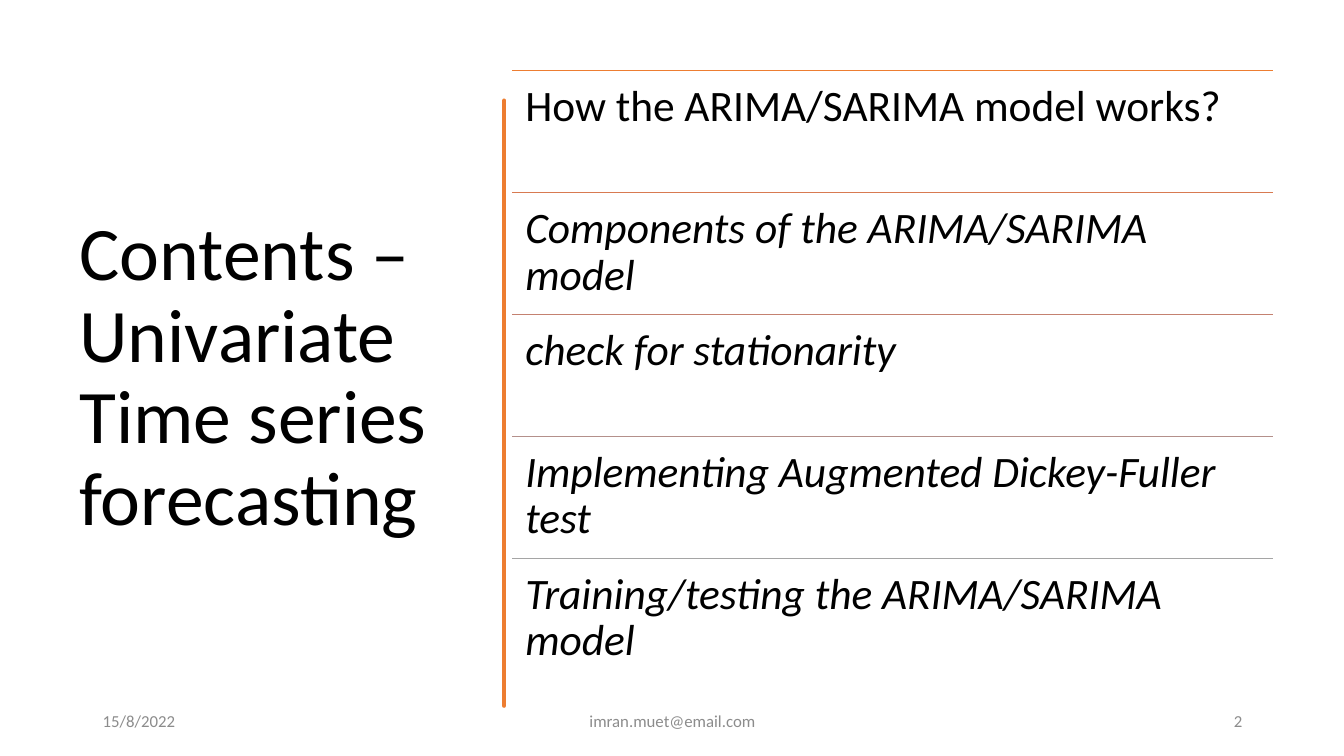
from dataclasses import dataclass

from lxml import etree
from pptx import Presentation
from pptx import util as u
from pptx.dml.color import RGBColor
from pptx.enum import shapes, text
from pptx.oxml import ns

FONT = "Calibri"
BLACK = RGBColor(0x00, 0x00, 0x00)
GREY = RGBColor(0x8C, 0x8C, 0x8C)
ORANGE = RGBColor(0xED, 0x7D, 0x31)
COPPER = RGBColor(0xD8, 0x7A, 0x51)
CLAY = RGBColor(0xC4, 0x81, 0x70)
MAUVE = RGBColor(0xB4, 0x90, 0x8B)
SILVER = RGBColor(0xA5, 0xA5, 0xA5)

LEFT = text.PP_ALIGN.LEFT
CENTER = text.PP_ALIGN.CENTER
RIGHT = text.PP_ALIGN.RIGHT
TOP = text.MSO_ANCHOR.TOP
MIDDLE = text.MSO_ANCHOR.MIDDLE


@dataclass
class Label:
    words: str
    left: float
    top: float
    width: float
    height: float
    size: float
    color: RGBColor = BLACK
    align: text.PP_ALIGN = LEFT
    anchor: text.MSO_ANCHOR = MIDDLE
    spacing: float = 1.0
    italic: bool = False
    inset: float | None = None


@dataclass
class Topic:
    words: str
    color: RGBColor
    italic: bool = True


TITLE = Label("Contents – Univariate Time series forecasting",
              0.69, 0.7, 3.74, 6.11, 54, spacing=0.9)

FOOTER = [
    Label("15/8/2022", 0.92, 6.95, 3, 0.4, 12, GREY),
    Label("imran.muet@email.com", 4.42, 6.95, 4.5, 0.4, 12, GREY, CENTER),
    Label("2", 9.42, 6.95, 3, 0.4, 12, GREY, RIGHT),
]

TOPICS = [
    Topic("How the ARIMA/SARIMA model works?", ORANGE, italic=False),
    Topic("Components of the ARIMA/SARIMA model", COPPER),
    Topic("check for stationarity", CLAY),
    Topic("Implementing Augmented Dickey-Fuller test", MAUVE),
    Topic("Training/testing the ARIMA/SARIMA model", SILVER),
]
LIST_LEFT, LIST_TOP, LIST_WIDTH, ROW = 5.08, 0.7, 7.55, 1.21

# Brush stroke outline: down the right edge, then up the left edge
STROKE = [
    (4.75, 0.84), (4.76, 1.2), (4.74, 1.7), (4.75, 2.26), (4.75, 2.94),
    (4.76, 3.4), (4.76, 4.1), (4.74, 4.6), (4.76, 5.3), (4.75, 5.84),
    (4.75, 6.76), (4.73, 6.76), (4.72, 6.4), (4.73, 5.9), (4.72, 5.4),
    (4.73, 4.77), (4.72, 4.4), (4.73, 3.86), (4.72, 3.4), (4.73, 2.9),
    (4.73, 2.38), (4.72, 1.75), (4.74, 1.3), (4.73, 0.84),
]


def write(parent, label: Label) -> None:
    box = parent.add_textbox(u.Inches(label.left), u.Inches(label.top),
                             u.Inches(label.width), u.Inches(label.height))
    frame = box.text_frame
    frame.word_wrap = True
    frame.vertical_anchor = label.anchor
    if label.inset is not None:
        gap = u.Inches(label.inset)
        frame.margin_left = frame.margin_right = gap
        frame.margin_top = frame.margin_bottom = gap
    para = frame.paragraphs[0]
    para.text = label.words
    para.alignment = label.align
    para.line_spacing = label.spacing
    para.font.name = FONT
    para.font.size = u.Pt(label.size)
    para.font.color.rgb = label.color
    para.font.italic = label.italic


def rule(parent, left: float, top: float, width: float,
         color: RGBColor) -> None:
    line = parent.add_connector(
        shapes.MSO_CONNECTOR.STRAIGHT, u.Inches(left), u.Inches(top),
        u.Inches(left + width), u.Inches(top))
    line.line.color.rgb = color
    line.line.width = u.Pt(1)
    etree.SubElement(line._element.spPr, ns.qn("a:effectLst"))


def brush(parent, points: list[tuple[float, float]]) -> None:
    start, *rest = points
    pen = parent.build_freeform(*start, scale=u.Inches(1))
    pen.add_line_segments(rest, close=True)
    stroke = pen.convert_to_shape()
    stroke.shadow.inherit = False
    stroke.fill.solid()
    stroke.fill.fore_color.rgb = ORANGE
    stroke.line.color.rgb = ORANGE
    stroke.line.width = u.Pt(3.25)
    etree.SubElement(stroke.line._ln, ns.qn("a:round"))


def main() -> None:
    deck = Presentation()
    deck.slide_width = u.Inches(13.33)
    deck.slide_height = u.Inches(7.5)
    slide = deck.slides.add_slide(deck.slide_layouts[6])

    # Title, divider and footer
    write(slide.shapes, TITLE)
    brush(slide.shapes, STROKE)
    for label in FOOTER:
        write(slide.shapes, label)

    # Ruled list of topics
    group = slide.shapes.add_group_shape().shapes
    for row, topic in enumerate(TOPICS):
        top = LIST_TOP + row * ROW
        rule(group, LIST_LEFT, top, LIST_WIDTH, topic.color)
        write(group, Label(topic.words, LIST_LEFT, top, LIST_WIDTH, ROW, 31,
                           anchor=TOP, spacing=0.9, italic=topic.italic,
                           inset=0.13))

    deck.save("out.pptx")


if __name__ == "__main__":
    main()
